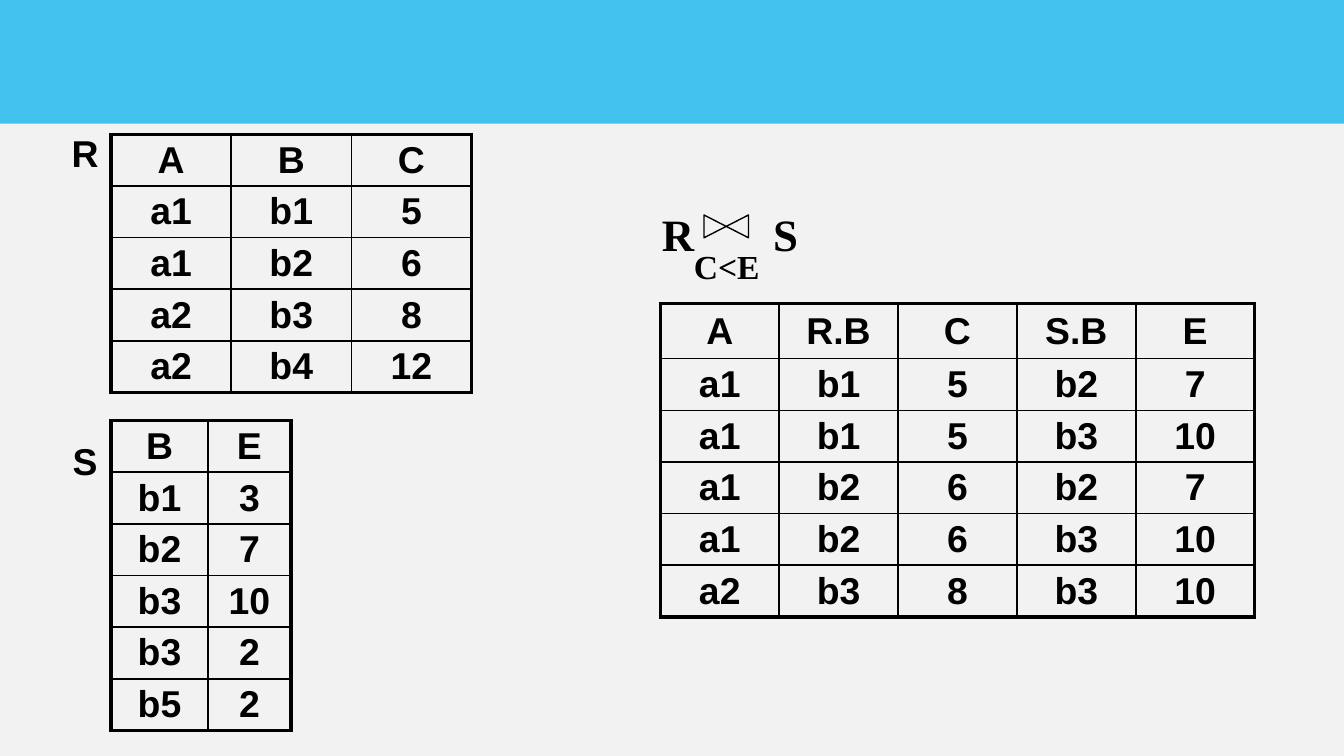
import pptx
import pptx.dml.color
import pptx.enum.shapes
import pptx.enum.text
import pptx.oxml
import pptx.oxml.ns
import pptx.util
from pptx.util import Cm

BLACK = "000000"
THIN, THICK = 1, 2.25
RELATION_R = ["A B C", "a1 b1 5", "a1 b2 6", "a2 b3 8", "a2 b4 12"]
RELATION_S = ["B E", "b1 3", "b2 7", "b3 10", "b3 2", "b5 2"]
JOIN_RESULT = ["A R.B C S.B E", "a1 b1 5 b2 7", "a1 b1 5 b3 10",
               "a1 b2 6 b2 7", "a1 b2 6 b3 10", "a2 b3 8 b3 10"]


def color(value):
    """Turn a hex string into a colour."""
    return pptx.dml.color.RGBColor.from_string(value)


def apply(target, values):
    """Set each attribute named in values."""
    for name, value in values.items():
        setattr(target, name, value)


def write(paragraph, text, size, font="Arial", align="CENTER"):
    """Put bold black text in a paragraph."""
    paragraph.alignment = getattr(pptx.enum.text.PP_ALIGN, align)
    run = paragraph.add_run()
    run.text = text
    apply(run.font, {"name": font, "size": pptx.util.Pt(size), "bold": True})
    run.font.color.rgb = color(BLACK)


def add_label(slide, text, left, top, width, height, size, font="Arial"):
    """Add a centred text label."""
    shape = slide.shapes.add_textbox(Cm(left), Cm(top), Cm(width), Cm(height))
    shape.text_frame.word_wrap = True
    write(shape.text_frame.paragraphs[0], text, size, font)


def add_operands(slide, text, left, top, width, height, inset, tab):
    """Add the two join operands, set apart by a tab stop."""
    shape = slide.shapes.add_textbox(Cm(left), Cm(top), Cm(width), Cm(height))
    apply(shape.text_frame, {"word_wrap": True, "margin_left": Cm(inset)})
    paragraph = shape.text_frame.paragraphs[0]
    properties = paragraph._p.get_or_add_pPr()
    properties.append(pptx.oxml.parse_xml(
        f'<a:tabLst {pptx.oxml.ns.nsdecls("a")}><a:tab pos="{Cm(tab)}" algn="l"/></a:tabLst>'))
    write(paragraph, text, 24, "Times New Roman", "LEFT")


def add_band(slide, width, height):
    """Add the translucent title band."""
    shape = slide.shapes.add_shape(
        pptx.enum.shapes.MSO_SHAPE.RECTANGLE, 0, 0, width, Cm(height))
    shape.shadow.inherit = False
    shape.line.fill.background()
    shape.fill.solid()
    shape.fill.fore_color.rgb = color("00B0F0")
    shape.fill._xPr.solidFill[0].append(pptx.oxml.parse_xml(
        f'<a:alpha {pptx.oxml.ns.nsdecls("a")} val="72000"/>'))


def add_join_symbol(slide, left, top, width, height):
    """Add the bow tie that stands for a join."""
    shape = slide.shapes.add_shape(
        pptx.enum.shapes.MSO_SHAPE.FLOWCHART_COLLATE,
        Cm(left), Cm(top), Cm(width), Cm(height))
    shape.rotation = 90
    shape.shadow.inherit = False
    shape.fill.background()
    shape.line.color.rgb = color(BLACK)
    shape.line.width = pptx.util.Pt(0.75)


def set_borders(cell, weights):
    """Draw the cell borders, with a weight in points for each side."""
    properties = cell._tc.get_or_add_tcPr()
    for index, (side, weight) in enumerate(weights.items()):
        properties.insert(index, pptx.oxml.parse_xml(
            f'<a:ln{side} {pptx.oxml.ns.nsdecls("a")} w="{pptx.util.Pt(weight)}">'
            f'<a:solidFill><a:srgbClr val="{BLACK}"/></a:solidFill></a:ln{side}>'))


def add_relation(slide, lines, left, top, widths, header_height, row_height):
    """Add a relation as a table with a thick outer frame."""
    rows = [line.split() for line in lines]
    heights = [header_height] + [row_height] * (len(rows) - 1)
    table = slide.shapes.add_table(
        len(rows), len(widths), Cm(left), Cm(top),
        Cm(sum(widths)), Cm(sum(heights))).table
    apply(table, {"first_row": False, "horz_banding": False})
    for column, width in zip(table.columns, widths):
        column.width = Cm(width)
    for row, height in zip(table.rows, heights):
        row.height = Cm(height)
    last_row, last_column = len(rows) - 1, len(widths) - 1
    for i, row in enumerate(rows):
        for j, text in enumerate(row):
            cell = table.cell(i, j)
            apply(cell, {"margin_top": Cm(0.08), "margin_bottom": Cm(0.08),
                         "vertical_anchor": pptx.enum.text.MSO_ANCHOR.MIDDLE})
            cell.fill.background()
            edges = {"L": j == 0, "R": j == last_column,
                     "T": i == 0, "B": i == last_row}
            set_borders(cell, {side: THICK if outer else THIN
                               for side, outer in edges.items()})
            write(cell.text_frame.paragraphs[0], text, 20)


def main():
    """Build the theta join slide."""
    presentation = pptx.Presentation()
    apply(presentation, {"slide_width": Cm(25.4), "slide_height": Cm(14.29)})
    slide = presentation.slides.add_slide(presentation.slide_layouts[6])
    slide.background.fill.solid()
    slide.background.fill.fore_color.rgb = color("F2F2F2")

    add_band(slide, presentation.slide_width, 2.34)
    row_height = 5.86 / 6
    add_relation(slide, RELATION_S, 2.1, 7.95, [1.83, 1.57], row_height, row_height)
    add_relation(slide, RELATION_R, 2.1, 2.54, [2.27] * 3, row_height, row_height)
    add_relation(slide, JOIN_RESULT, 12.48, 5.74, [11.23 / 5] * 5, 1.04, row_height)

    add_operands(slide, "R\tS", 11.71, 3.78, 4.19, 1.3, 0.8, 2.1)
    add_join_symbol(slide, 13.51, 3.86, 0.43, 0.84)
    add_label(slide, "C<E", 12.34, 4.52, 2.79, 1.02, 18, "Times New Roman")
    for name, top in (("R", 2.34), ("S", 8.15)):
        add_label(slide, name, 0.91, top, 1.4, 1.12, 20)
    presentation.save("out.pptx")


if __name__ == "__main__":
    main()
